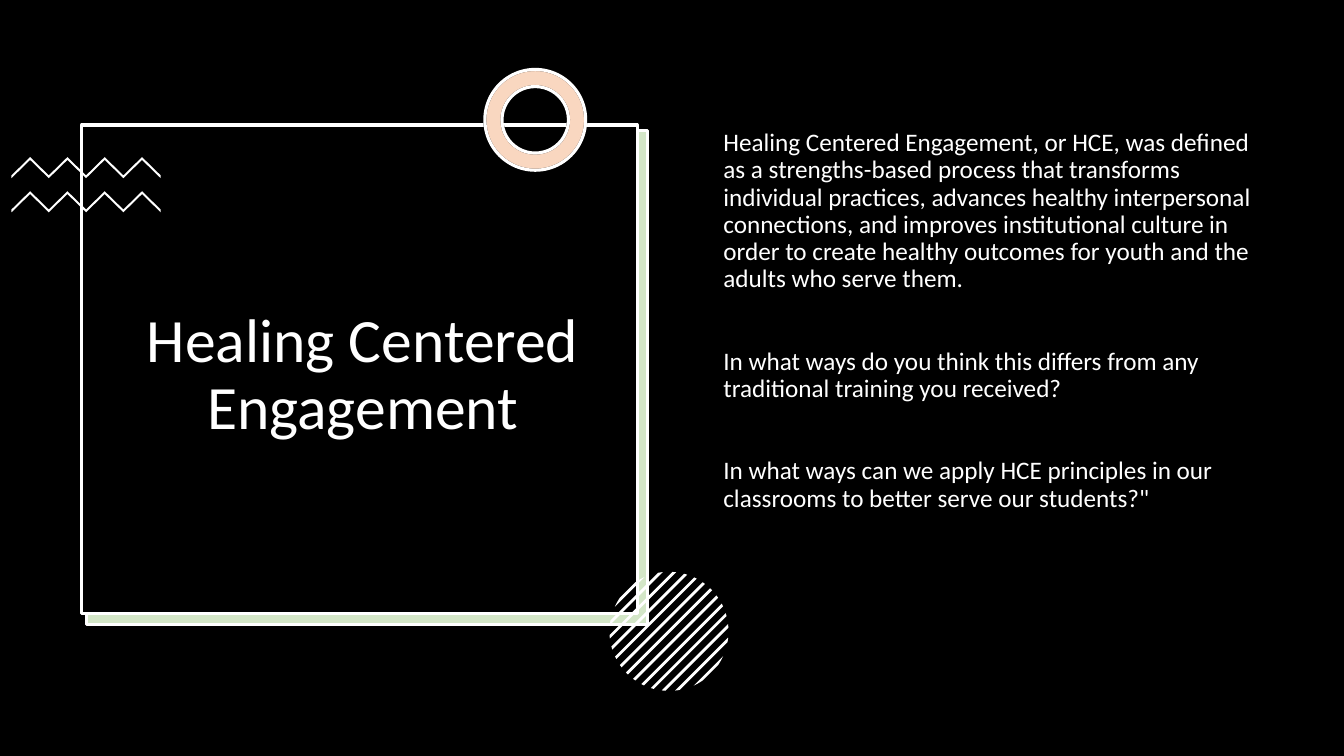
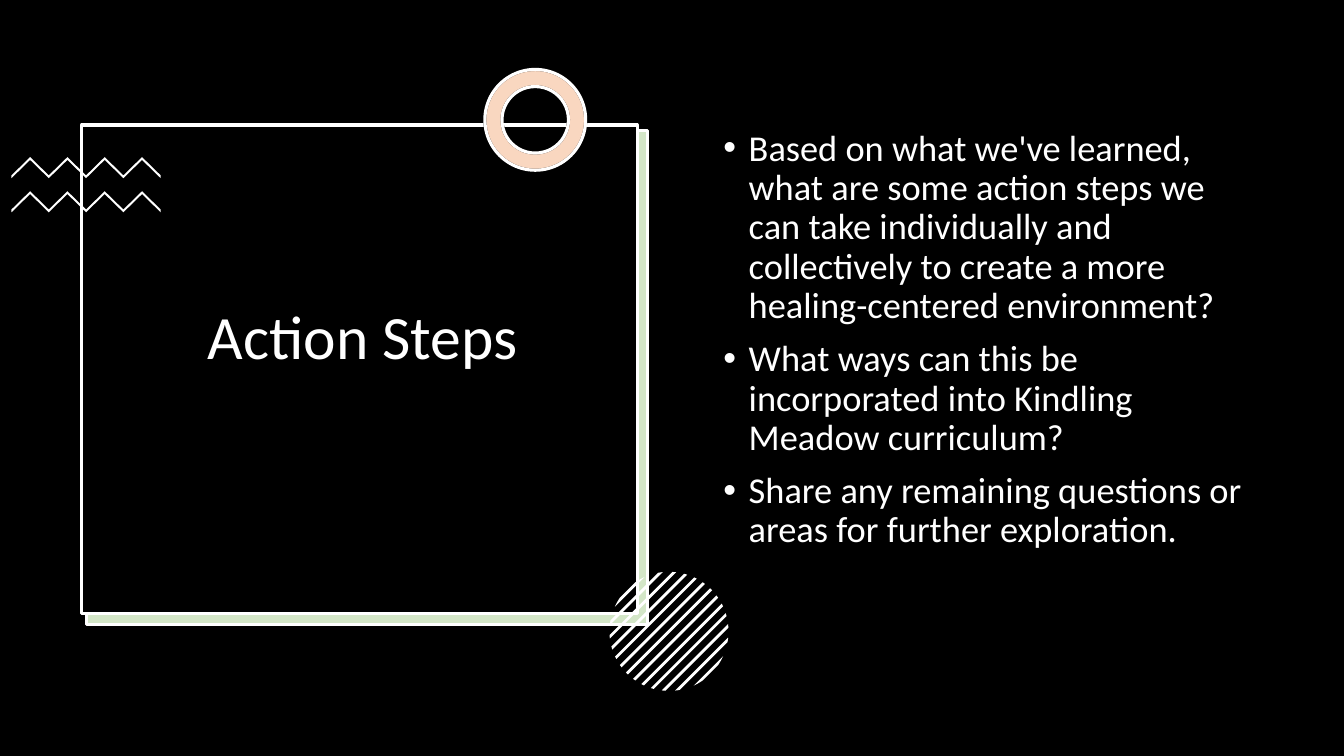
"""Build two discussion slides with a framed title on black."""
from math import acos, cos, pi, sin

from lxml import etree
from pptx import Presentation
from pptx.dml.color import RGBColor
from pptx.enum import shapes, text
from pptx.oxml import ns
from pptx.util import Cm, Pt

BLACK = RGBColor(0x00, 0x00, 0x00)
WHITE = RGBColor(0xFF, 0xFF, 0xFF)
GREEN = RGBColor(0x70, 0xAD, 0x47)
ORANGE = RGBColor(0xED, 0x7D, 0x31)
FONT = "Calibri"
RECT = shapes.MSO_SHAPE.RECTANGLE
RING = shapes.MSO_SHAPE.DONUT

PARTS = [
    (RECT, 2.16, 3.3, 14.15, 12.45, WHITE, 100, None),
    (RECT, 2.18, 3.28, 14.15, 12.45, GREEN, 30, WHITE),
    (RECT, 2.06, 3.15, 14, 12.32, BLACK, 100, WHITE),
    (RING, 12.22, 1.75, 2.54, 2.54, WHITE, 100, BLACK),
    (RING, 12.22, 1.75, 2.54, 2.54, ORANGE, 30, WHITE),
]

SLIDES = [
    ("Healing Centered Engagement", 0.13, 18, 39.4, False, [
        "Healing Centered Engagement, or HCE, was defined as a strengths-based "
        "process that transforms individual practices, advances healthy "
        "interpersonal connections, and improves institutional culture in order "
        "to create healthy outcomes for youth and the adults who serve them.",
        "In what ways do you think this differs from any traditional training "
        "you received?",
        "In what ways can we apply HCE principles in our classrooms to better "
        "serve our students?\"",
    ]),
    ("Action Steps", 1.98, 26, 10, True, [
        "Based on what we've learned, what are some action steps we can take "
        "individually and collectively to create a more healing-centered "
        "environment?",
        "What ways can this be incorporated into Kindling Meadow curriculum?",
        "Share any remaining questions or areas for further exploration.",
    ]),
]

zigzags = []
for top in (3.96, 4.82):
    edge = [(0.29 + 0.47 * i, top + 0.46 * (i % 2 == 0)) for i in range(9)]
    zigzags.append(edge + [(x, y + 0.07) for x, y in reversed(edge)])

MID_X, MID_Y, RADIUS = 16.86, 15.91, 1.5
stripes = []
for i in range(-6, 7):
    cuts = [0.24 * i + 0.07 * (k / 6 - 0.5) for k in range(7)]
    turns = [acos(max(-1, min(1, cut / RADIUS))) for cut in cuts]
    angles = [pi / 4 + t for t in turns] + [pi / 4 - t for t in reversed(turns)]
    stripes.append([(MID_X + RADIUS * cos(a), MID_Y + RADIUS * sin(a))
                    for a in angles])


def style(par, size):
    """Set the spacing and font of a paragraph."""
    par.line_spacing = 0.9
    par.font.name = FONT
    par.font.size = Pt(size)
    par.font.color.rgb = WHITE


deck = Presentation()
deck.slide_width, deck.slide_height = Cm(33.87), Cm(19.05)

for heading, foot, size, gap, listed, lines in SLIDES:
    slide = deck.slides.add_slide(deck.slide_layouts[5])
    slide.background.fill.solid()
    slide.background.fill.fore_color.rgb = BLACK

    for kind, x, y, w, h, color, alpha, line in PARTS:
        part = slide.shapes.add_shape(kind, Cm(x), Cm(y), Cm(w), Cm(h))
        part.shadow.inherit = False
        part.fill.solid()
        part.fill.fore_color.rgb = color
        if alpha < 100:
            tint = part.element.spPr.find(ns.qn("a:solidFill"))[0]
            etree.SubElement(tint, ns.qn("a:alpha"), val=str(alpha * 1000))
        if line is None:
            part.line.fill.background()
        else:
            part.line.color.rgb = line
            part.line.width = Pt(2.25)
        if kind == RING:
            part.adjustments[0] = 0.17

    for outlines in (zigzags, stripes):
        group = slide.shapes.add_group_shape()
        for outline in outlines:
            points = [(Cm(x), Cm(y)) for x, y in outline]
            pen = group.shapes.build_freeform(*points[0])
            pen.add_line_segments(points[1:], close=True)
            piece = pen.convert_to_shape()
            piece.shadow.inherit = False
            piece.fill.solid()
            piece.fill.fore_color.rgb = WHITE
            piece.line.fill.background()

    title = slide.shapes.title
    title.element.getparent().append(title.element)
    title.left, title.top = Cm(2.34), Cm(3.86)
    title.width, title.height = Cm(13.61), Cm(11.23)
    frame = title.text_frame
    frame.text = heading
    frame.auto_size = text.MSO_AUTO_SIZE.NONE
    frame.vertical_anchor = text.MSO_ANCHOR.MIDDLE
    frame.margin_bottom = Cm(foot)
    frame.paragraphs[0].alignment = text.PP_ALIGN.CENTER
    style(frame.paragraphs[0], 44)

    body = slide.shapes.add_textbox(Cm(17.98), Cm(3.15), Cm(13.82), Cm(12.09))
    frame = body.text_frame
    frame.word_wrap = True
    frame.text = "\n".join(lines)
    for i, par in enumerate(frame.paragraphs):
        if listed:
            props = par._p.get_or_add_pPr()
            props.set("marL", str(Cm(0.64)))
            props.set("indent", str(Cm(-0.64)))
            etree.SubElement(props, ns.qn("a:buFont"), typeface="Arial")
            etree.SubElement(props, ns.qn("a:buChar"), char="•")
        style(par, size)
        if i:
            par.space_before = Pt(gap)

deck.save("out.pptx")
